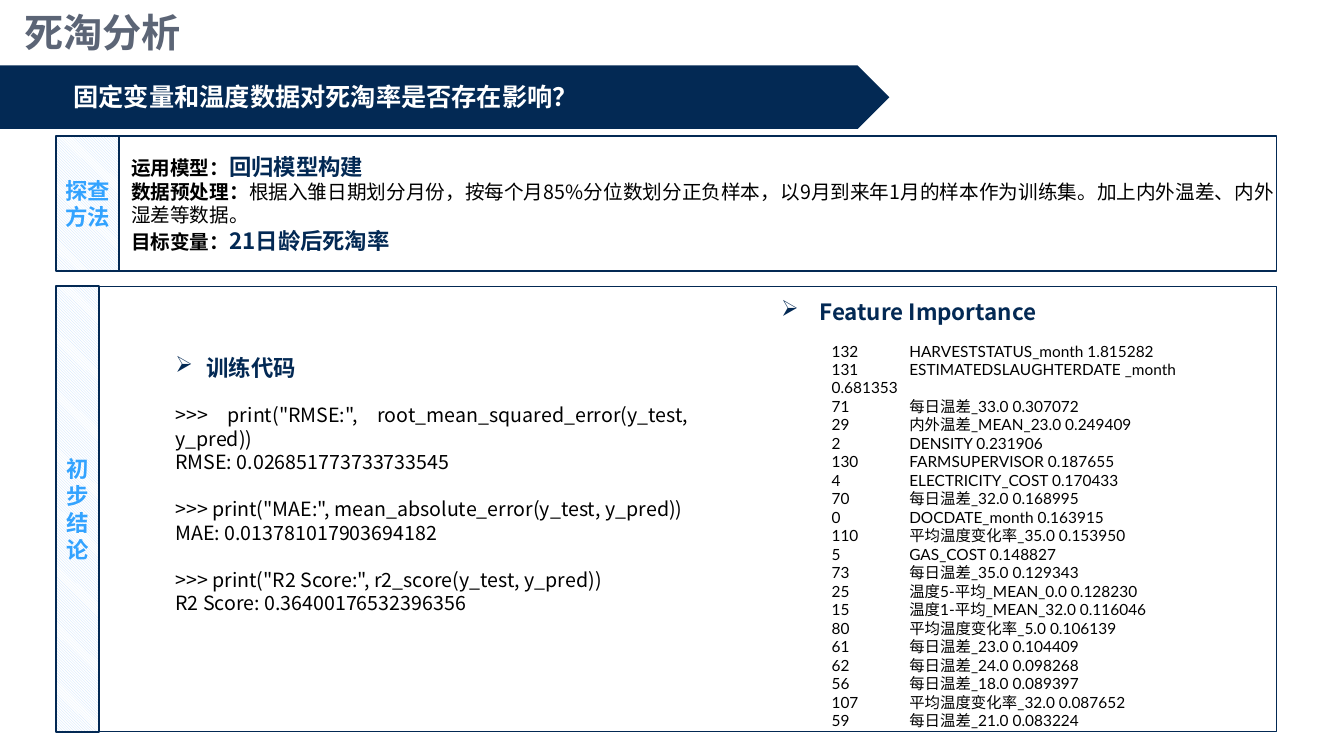
from dataclasses import dataclass
from typing import NamedTuple

from lxml.etree import SubElement
from pptx import Presentation
from pptx.dml.color import RGBColor as RGB
from pptx.enum.dml import MSO_PATTERN as PAT
from pptx.enum.shapes import MSO_SHAPE as KIND
from pptx.enum.text import MSO_ANCHOR as ANC, PP_ALIGN as ALIGN
from pptx.oxml.ns import qn
from pptx.util import Inches, Pt


@dataclass(frozen=True)
class Theme:
    navy: str = "032954"
    gray: str = "5C6576"
    sky: str = "33A3FF"
    pale: str = "C6E0FD"
    white: str = "FFFFFF"
    black: str = "000000"
    sans: str = "Noto Sans CJK SC"
    lato: str = "Lato"
    title: int = 28
    lead: int = 18
    head: int = 16
    body: int = 14
    small: int = 11
    pitch: float = 1.2


T = Theme()


class Box(NamedTuple):
    left: float
    top: float
    width: float
    height: float


class Run(NamedTuple):
    text: str
    size: int = T.body
    color: str = T.black
    bold: bool = False
    face: str = T.sans


class Para(NamedTuple):
    runs: list[Run]
    before: float = 0


class Panel(NamedTuple):
    label: str
    top: float
    height: float
    tab: float


WIDE = (0.13, 0.07)
SLIM = (0.1, 0.05)
TIGHT = (0.08, 0.05)

deck = Presentation()
deck.slide_width, deck.slide_height = Inches(13.33), Inches(7.5)
slide = deck.slides.add_slide(deck.slide_layouts[6])


def write(shape, paras: list[Para], *, pad=SLIM, anchor=ANC.TOP,
          align=ALIGN.LEFT, bullet: float = 0, stop: float = 0) -> None:
    """Fill a shape with text; bullet is the hanging indent, stop the tab."""
    frame = shape.text_frame
    frame.word_wrap = True
    frame.vertical_anchor = anchor
    frame.margin_left = frame.margin_right = Inches(pad[0])
    frame.margin_top = frame.margin_bottom = Inches(pad[1])
    for i, para in enumerate(paras):
        p = frame.add_paragraph() if i else frame.paragraphs[0]
        p.alignment = align
        p.line_spacing = Pt(T.pitch * max(r.size for r in para.runs))
        if para.before:
            p.space_before = Pt(para.before)
        props = p._p.get_or_add_pPr()
        if bullet:
            props.set("marL", str(Inches(bullet)))
            props.set("indent", str(-Inches(bullet)))
            SubElement(props, qn("a:buChar"), char="➢")
        if stop:
            tabs = SubElement(props, qn("a:tabLst"))
            SubElement(tabs, qn("a:tab"), pos=str(Inches(stop)), algn="l")
        for part in para.runs:
            r = p.add_run()
            r.text = part.text
            font = r.font
            font.size, font.bold, font.name = Pt(part.size), part.bold, part.face
            font.color.rgb = RGB.from_string(part.color)
            SubElement(r._r.get_or_add_rPr(), qn("a:ea"), typeface=T.sans)


def note(box: Box, paras: list[Para], **form) -> None:
    write(slide.shapes.add_textbox(*map(Inches, box)), paras, **form)


def block(kind: KIND, box: Box, *, fill: str = "", hatch: bool = False,
          line: float = 0):
    shape = slide.shapes.add_shape(kind, *map(Inches, box))
    shape.shadow.inherit = False
    if hatch:
        shape.fill.patterned()
        shape.fill.pattern = PAT.LIGHT_DOWNWARD_DIAGONAL
        shape.fill.fore_color.rgb = RGB.from_string(T.pale)
        shape.fill.back_color.rgb = RGB.from_string(T.white)
    elif fill:
        shape.fill.solid()
        shape.fill.fore_color.rgb = RGB.from_string(fill)
    else:
        shape.fill.background()
    if line:
        shape.line.width = Pt(line)
        shape.line.color.rgb = RGB.from_string(T.navy)
    else:
        shape.line.fill.background()
    return shape


def navy(text: str) -> Run:
    return Run(text, T.head, T.navy, True)


def bold(text: str) -> Run:
    return Run(text, bold=True)


# Title and banner
block(KIND.PENTAGON, Box(0, 0.65, 8.82, 0.63), fill=T.navy)
note(Box(0.6, 0.61, 7.93, 0.7),
     [Para([Run("固定变量和温度数据对死淘率是否存在影响？", T.lead, T.white, True)])],
     pad=WIDE, anchor=ANC.MIDDLE)
note(Box(0.11, -0.03, 12.29, 0.7),
     [Para([Run("死淘分析", T.title, T.gray, True)])],
     pad=WIDE, anchor=ANC.MIDDLE)

# Framed panels with hatched side labels
PANELS = [Panel("探查方法", 1.35, 1.34, 0.62), Panel("初步结论", 2.84, 4.42, 0.42)]
for panel in PANELS:
    side = block(KIND.RECTANGLE, Box(0.56, panel.top, panel.tab, panel.height),
                 hatch=True, line=1.5)
    write(side, [Para([Run(panel.label, T.head, T.sky, True)])],
          pad=TIGHT, anchor=ANC.MIDDLE, align=ALIGN.CENTER)
    block(KIND.RECTANGLE, Box(0.56, panel.top, 12.1, panel.height), line=1)

# Method
note(Box(1.17, 1.42, 11.64, 1.19), [
    Para([bold("运用模型："), navy("回归模型构建")]),
    Para([bold("数据预处理："),
          Run("根据入雏日期划分月份，按每个月85%分位数划分正负样本，"
              "以9月到来年1月的样本作为训练集。加上内外温差、内外湿差等数据。")]),
    Para([bold("目标变量："), navy("21日龄后死淘率")]),
], pad=WIDE, anchor=ANC.MIDDLE)

# Training code: each call is set one line apart from the last result
CODE = [
    ('>>> print("RMSE:", root_mean_squared_error(y_test, y_pred))',
     "RMSE: 0.026851773733733545"),
    ('>>> print("MAE:", mean_absolute_error(y_test, y_pred))',
     "MAE: 0.013781017903694182"),
    ('>>> print("R2 Score:", r2_score(y_test, y_pred))',
     "R2 Score: 0.36400176532396356"),
]
lines = []
for call, result in CODE:
    gap = T.pitch * T.body if lines else 0
    lines += [Para([Run(call)], gap), Para([Run(result)])]
note(Box(1.64, 3.46, 1.73, 0.37), [Para([navy("训练代码")])],
     align=ALIGN.JUSTIFY, bullet=0.31)
note(Box(1.64, 3.95, 5.29, 1.99), lines, align=ALIGN.JUSTIFY)

# Feature importance: index, name, weight
RANKS = [
    (132, "HARVESTSTATUS_month", "1.815282"),
    (131, "ESTIMATEDSLAUGHTERDATE _month", "0.681353"),
    (71, "每日温差_33.0", "0.307072"),
    (29, "内外温差_MEAN_23.0", "0.249409"),
    (2, "DENSITY", "0.231906"),
    (130, "FARMSUPERVISOR", "0.187655"),
    (4, "ELECTRICITY_COST", "0.170433"),
    (70, "每日温差_32.0", "0.168995"),
    (0, "DOCDATE_month", "0.163915"),
    (110, "平均温度变化率_35.0", "0.153950"),
    (5, "GAS_COST", "0.148827"),
    (73, "每日温差_35.0", "0.129343"),
    (25, "温度5-平均_MEAN_0.0", "0.128230"),
    (15, "温度1-平均_MEAN_32.0", "0.116046"),
    (80, "平均温度变化率_5.0", "0.106139"),
    (61, "每日温差_23.0", "0.104409"),
    (62, "每日温差_24.0", "0.098268"),
    (56, "每日温差_18.0", "0.089397"),
    (107, "平均温度变化率_32.0", "0.087652"),
    (59, "每日温差_21.0", "0.083224"),
]
note(Box(7.65, 2.91, 2.81, 0.37), [Para([navy("Feature Importance")])], bullet=0.38)
note(Box(8.15, 3.34, 4.13, 3.8),
     [Para([Run(f"{rank}\t{name} {weight}", T.small, face=T.lato)])
      for rank, name, weight in RANKS], stop=0.77)

deck.save("out.pptx")
